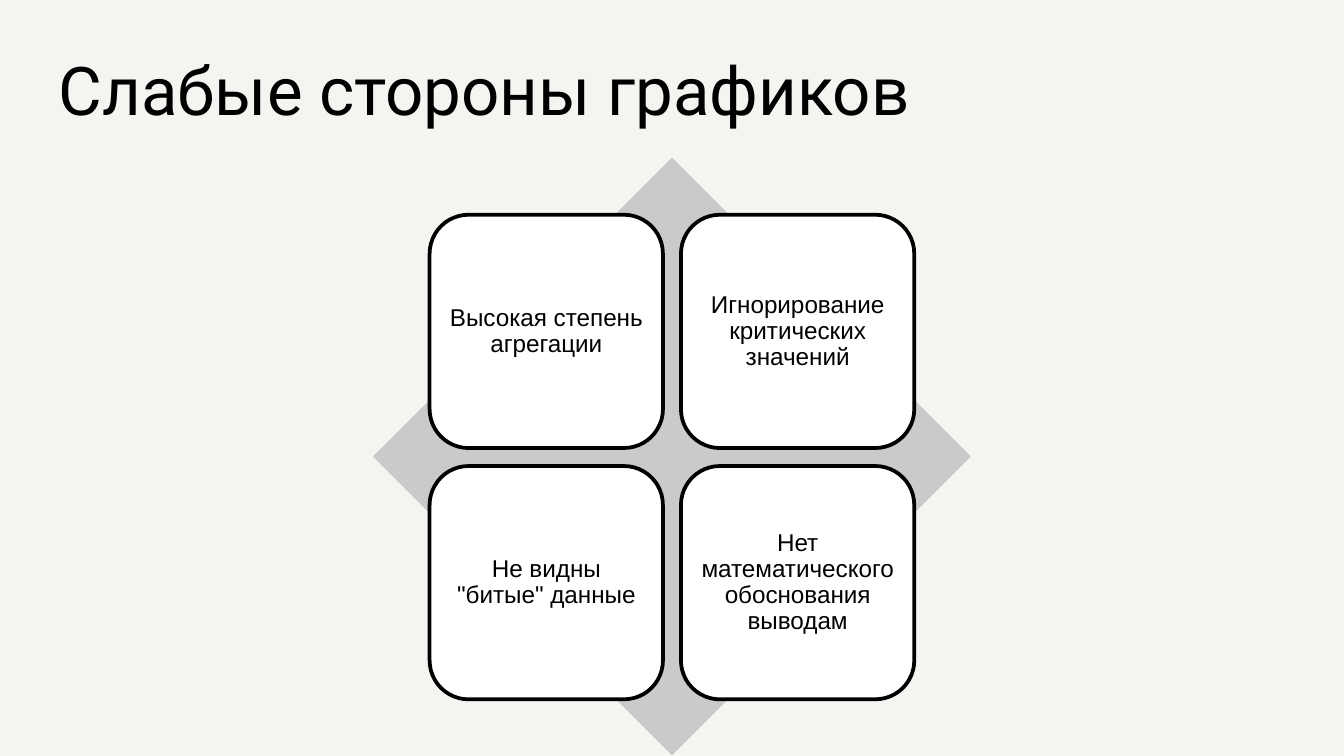
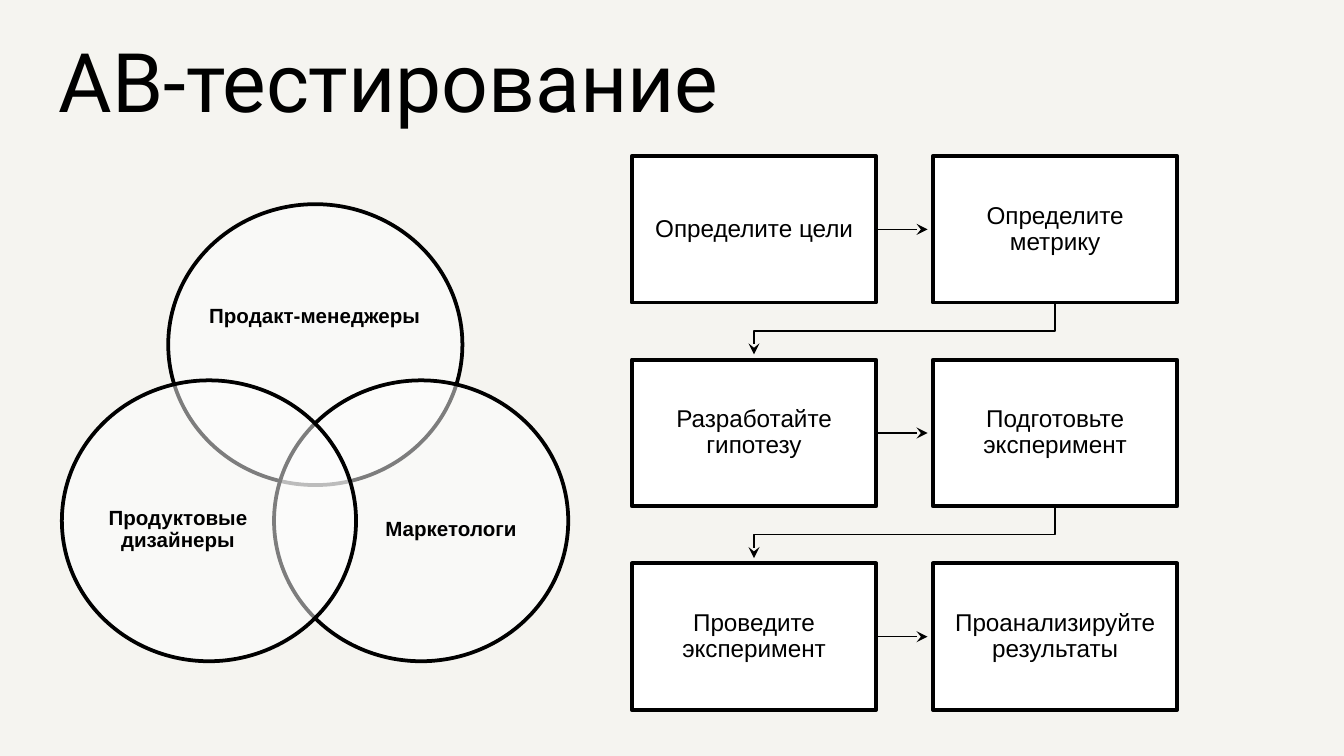
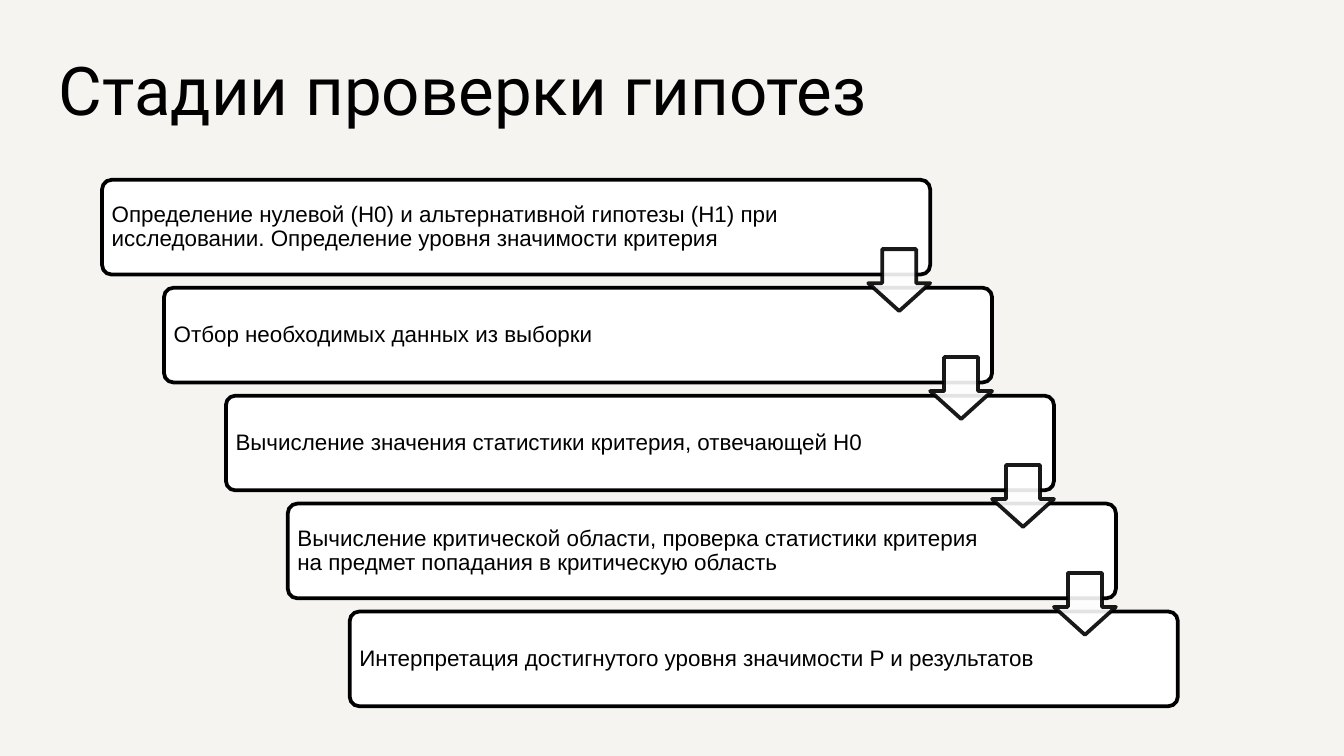
"""Build three slides on the limits of charts, AB testing and hypothesis checks."""
from dataclasses import dataclass
from typing import NamedTuple

from lxml import etree
from pptx import Presentation
from pptx.dml.color import RGBColor
from pptx.enum.shapes import MSO_CONNECTOR, MSO_SHAPE
from pptx.enum.text import MSO_ANCHOR, MSO_AUTO_SIZE, PP_ALIGN
from pptx.oxml.ns import qn
from pptx.shapes.autoshape import Shape
from pptx.slide import Slide
from pptx.util import Cm, Pt

STRAIGHT = MSO_CONNECTOR.STRAIGHT
DIAMOND = MSO_SHAPE.DIAMOND
DOWN_ARROW = MSO_SHAPE.DOWN_ARROW
OVAL = MSO_SHAPE.OVAL
RECTANGLE = MSO_SHAPE.RECTANGLE
ROUNDED = MSO_SHAPE.ROUNDED_RECTANGLE
MIDDLE, BOTTOM = MSO_ANCHOR.MIDDLE, MSO_ANCHOR.BOTTOM
LEFT, CENTER = PP_ALIGN.LEFT, PP_ALIGN.CENTER
NO_AUTOFIT = MSO_AUTO_SIZE.NONE
TITLE_ONLY = 5
BOTTOM_SIDE, RIGHT_SIDE = 2, 3


@dataclass(frozen=True)
class Theme:
    """Colours, fonts, type sizes and line widths shared by the slides."""
    background: RGBColor = RGBColor(0xF5, 0xF4, 0xF0)
    ink: RGBColor = RGBColor(0, 0, 0)
    paper: RGBColor = RGBColor(0xFF, 0xFF, 0xFF)
    diamond: RGBColor = RGBColor(0xCA, 0xCA, 0xCA)
    title_font: str = "Roboto"
    body_font: str = "Arial"
    title_size: int = 36
    large_title_size: int = 44
    card_size: int = 13
    step_size: int = 12
    circle_size: int = 11
    outline: float = 2
    arrow_line: float = 0.75


THEME = Theme()


class Area(NamedTuple):
    """Left, top, width and height in centimetres."""
    left: float
    top: float
    width: float
    height: float

    def lengths(self) -> tuple[Cm, ...]:
        """Return the four measures as lengths."""
        return tuple(Cm(value) for value in self)


class Circle(NamedTuple):
    """A Venn circle's corner, its label and the area of the label."""
    left: float
    top: float
    label: str
    label_area: Area


TITLE_AREA = Area(0.86, 0.53, 23.67, 2.16)

WEAKNESSES = (
    "Высокая степень агрегации",
    "Игнорирование критических значений",
    'Не видны "битые" данные',
    "Нет математического обоснования выводам",
)

CIRCLES = (
    Circle(3.18, 3.86, "Продакт-менеджеры", Area(3.92, 4.8, 4.06, 2.38)),
    Circle(5.18, 7.19, "Маркетологи", Area(6.86, 8.56, 3.33, 2.92)),
    Circle(1.17, 7.19, "Продуктовые дизайнеры", Area(1.7, 8.56, 3.33, 2.92)),
)

TEST_STAGES = (
    "Определите цели",
    "Определите метрику",
    "Разработайте гипотезу",
    "Подготовьте эксперимент",
    "Проведите эксперимент",
    "Проанализируйте результаты",
)

CHECK_STEPS = (
    "Определение нулевой (H0) и альтернативной гипотезы (H1) при исследовании. "
    "Определение уровня значимости критерия",
    "Отбор необходимых данных из выборки",
    "Вычисление значения статистики критерия, отвечающей H0",
    "Вычисление критической области, проверка статистики критерия "
    "на предмет попадания в критическую область",
    "Интерпретация достигнутого уровня значимости P и результатов",
)


def write_text(box: Shape, text: str, *, size: float, font: str = THEME.body_font,
               bold: bool = False, align: PP_ALIGN = CENTER,
               anchor: MSO_ANCHOR = MIDDLE, spacing: float = 0.9,
               inset: float = 0, right_inset: float | None = None) -> None:
    """Write one formatted paragraph into a box."""
    frame = box.text_frame
    frame.word_wrap = True
    frame.auto_size = NO_AUTOFIT
    frame.vertical_anchor = anchor
    frame.margin_left = frame.margin_top = frame.margin_bottom = Cm(inset)
    frame.margin_right = Cm(inset if right_inset is None else right_inset)
    para = frame.paragraphs[0]
    para.alignment = align
    para.line_spacing = spacing
    span = para.add_run()
    span.text = text
    span.font.name = font
    span.font.size = Pt(size)
    span.font.bold = bold
    span.font.color.rgb = THEME.ink


def add_page(deck: Presentation, title: str, size: int) -> Slide:
    """Add a page with its formatted title."""
    page = deck.slides.add_slide(deck.slide_layouts[TITLE_ONLY])
    box = page.shapes.title
    box.left, box.top, box.width, box.height = TITLE_AREA.lengths()
    write_text(box, title, size=size, font=THEME.title_font, align=LEFT,
               anchor=BOTTOM, spacing=1, inset=0.25)
    return page


def add_figure(page: Slide, kind: MSO_SHAPE, area: Area, *,
               fill: RGBColor = THEME.paper, outlined: bool = True,
               adjustments: tuple[float, ...] = (), fill_opacity: int = 100,
               line_opacity: int = 100) -> Shape:
    """Add a flat preset shape."""
    figure = page.shapes.add_shape(kind, *area.lengths())
    figure.shadow.inherit = False
    figure.fill.solid()
    figure.fill.fore_color.rgb = fill
    for index, value in enumerate(adjustments):
        figure.adjustments[index] = value
    if outlined:
        figure.line.color.rgb = THEME.ink
        figure.line.width = Pt(THEME.outline)
    else:
        figure.line.fill.background()
    properties = figure._element.spPr
    for holder, opacity in ((properties, fill_opacity),
                            (properties.find(qn("a:ln")), line_opacity)):
        if opacity < 100:
            color = holder.find(qn("a:solidFill")).find(qn("a:srgbClr"))
            etree.SubElement(color, qn("a:alpha"), val=str(opacity * 1000))
    return figure


def style_arrow(arrow) -> None:
    """Give a line its colour, width and arrowhead."""
    arrow.line.color.rgb = THEME.ink
    arrow.line.width = Pt(THEME.arrow_line)
    etree.SubElement(arrow.line._get_or_add_ln(), qn("a:tailEnd"), type="stealth")


def add_row_arrow(page: Slide, source: Shape, target: Shape, clearance: Cm) -> None:
    """Point from a stage to its right neighbour."""
    middle = source.top + source.height // 2
    arrow = page.shapes.add_connector(
        STRAIGHT, source.left + source.width, middle, target.left - clearance, middle)
    arrow.begin_connect(source, RIGHT_SIDE)
    etree.SubElement(arrow._element.spPr, qn("a:effectLst"))
    style_arrow(arrow)


def add_return_arrow(page: Slide, source: Shape, target: Shape, clearance: Cm) -> None:
    """Lead from the end of a row to the start of the next one."""
    start_x = source.left + source.width // 2
    start_y = source.top + source.height
    end_x = target.left + target.width // 2
    bend_y = (start_y + target.top) // 2
    outline = page.shapes.build_freeform(start_x, start_y)
    outline.add_line_segments(
        [(start_x, bend_y), (end_x, bend_y), (end_x, target.top - clearance)],
        close=False)
    arrow = outline.convert_to_shape()
    arrow.shadow.inherit = False
    arrow.fill.background()
    style_arrow(arrow)


def draw_weaknesses(page: Slide) -> None:
    """Draw four cards over a diamond."""
    left, top, size, pitch = 8.12, 4.06, 4.41, 4.75
    add_figure(page, DIAMOND, Area(7.05, 2.98, 11.3, 11.3),
               fill=THEME.diamond, outlined=False)
    for index, text in enumerate(WEAKNESSES):
        row, column = divmod(index, 2)
        area = Area(left + column * pitch, top + row * pitch, size, size)
        card = add_figure(page, ROUNDED, area, adjustments=(0.167,))
        write_text(card, text, size=THEME.card_size, inset=0.13)


def draw_circles(page: Slide) -> None:
    """Draw the Venn diagram of the people involved."""
    for circle in CIRCLES:
        add_figure(page, OVAL, Area(circle.left, circle.top, 5.56, 5.31),
                   fill_opacity=49)
        label = page.shapes.add_textbox(*circle.label_area.lengths())
        write_text(label, circle.label, size=THEME.circle_size, bold=True)


def draw_test_stages(page: Slide) -> None:
    """Draw the stages of a test in rows of two, joined by arrows."""
    left, top, across, down = 11.94, 2.95, 5.69, 3.85
    clearance = Cm(0.1)
    stages = []
    for index, text in enumerate(TEST_STAGES):
        row, column = divmod(index, 2)
        area = Area(left + column * across, top + row * down, 4.62, 2.77)
        stage = add_figure(page, RECTANGLE, area)
        write_text(stage, text, size=THEME.card_size, inset=0.25)
        stages.append(stage)
    for index, (source, target) in enumerate(zip(stages, stages[1:])):
        add_arrow = add_return_arrow if index % 2 else add_row_arrow
        add_arrow(page, source, target, clearance)


def draw_check_steps(page: Slide) -> None:
    """Draw a staircase of steps with arrows between them."""
    width, height, shift, drop = 15.65, 1.79, 1.17, 2.04
    areas = [Area(1.93 + index * shift, 3.4 + index * drop, width, height)
             for index in range(len(CHECK_STEPS))]
    for area, text in zip(areas, CHECK_STEPS):
        step = add_figure(page, ROUNDED, area, adjustments=(0.1,))
        write_text(step, text, size=THEME.step_size, align=LEFT,
                   inset=0.13, right_inset=2.45)
    for area in areas[:-1]:
        arrow_area = Area(area.left + width - shift, area.top + 1.31, shift, shift)
        add_figure(page, DOWN_ARROW, arrow_area, adjustments=(0.55, 0.45),
                   fill_opacity=89, line_opacity=89)


def main() -> None:
    """Build and save the deck."""
    deck = Presentation()
    deck.slide_width, deck.slide_height = Cm(25.4), Cm(14.29)
    background = deck.slide_master.background.fill
    background.solid()
    background.fore_color.rgb = THEME.background

    draw_weaknesses(add_page(deck, "Слабые стороны графиков", THEME.title_size))
    testing = add_page(deck, "AB-тестирование", THEME.large_title_size)
    draw_circles(testing)
    draw_test_stages(testing)
    draw_check_steps(add_page(deck, "Стадии проверки гипотез", THEME.title_size))
    deck.save("out.pptx")


if __name__ == "__main__":
    main()
